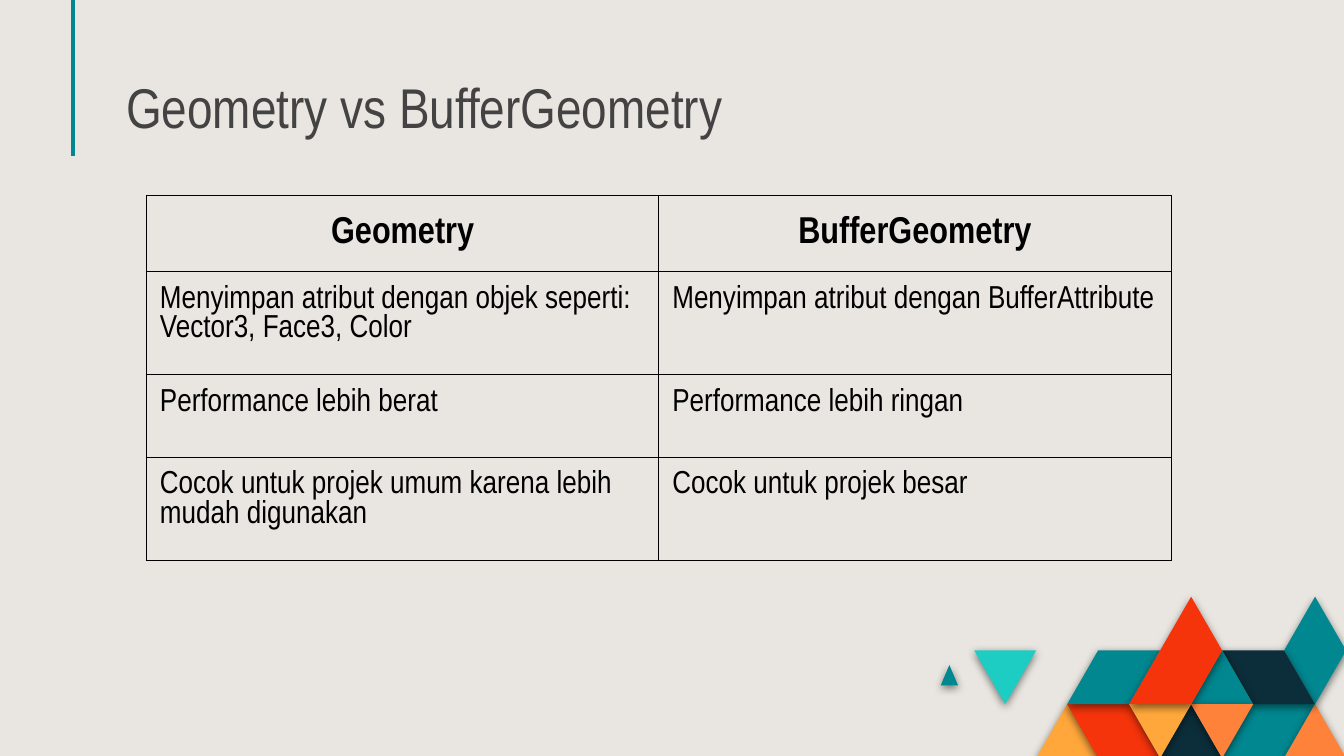
from lxml.etree import SubElement
from pptx import Presentation
from pptx.dml.color import RGBColor
from pptx.enum.shapes import MSO_CONNECTOR
from pptx.enum.text import MSO_ANCHOR, PP_ALIGN
from pptx.oxml import parse_xml
from pptx.oxml.ns import nsdecls, qn
from pptx.util import Pt

FONT = "Arial Narrow"
BACKGROUND = RGBColor(0xE9, 0xE6, 0xE1)
TITLE_GRAY = RGBColor(0x43, 0x43, 0x43)
BLACK = RGBColor(0x00, 0x00, 0x00)
TEAL = RGBColor(0x01, 0x87, 0x90)
TURQUOISE = RGBColor(0x1D, 0xCD, 0xC3)
NAVY = RGBColor(0x0C, 0x2E, 0x3A)
RED = RGBColor(0xF5, 0x34, 0x0B)
AMBER = RGBColor(0xFF, 0xA7, 0x3B)
ORANGE = RGBColor(0xFF, 0x82, 0x3B)

TITLE = "Geometry vs BufferGeometry"
ROWS = [
    ("Geometry", "BufferGeometry"),
    ("Menyimpan atribut dengan objek seperti: Vector3, Face3, Color",
     "Menyimpan atribut dengan BufferAttribute"),
    ("Performance lebih berat", "Performance lebih ringan"),
    ("Cocok untuk projek umum karena lebih mudah digunakan",
     "Cocok untuk projek besar"),
]
ROW_HEIGHTS = [40.7, 48.2, 44.2, 46.4]
COLUMN_WIDTH = 274.5
INSET = Pt(7.2)

GRID_LEFT, GRID_TOP = 555.1, 319.7
GRID_DX, GRID_DY = 16.6, 28.8
TILES = [
    (AMBER, [(0, 3), (1, 2), (2, 3)]),
    (RED, [(1, 2), (3, 2), (4, 3), (2, 3)]),
    (TEAL, [(6, 3), (7, 2), (9, 2), (8, 3)]),
    (ORANGE, [(8, 3), (9, 2), (10, 3)]),
    (NAVY, [(4, 3), (5, 2), (6, 3)]),
    (TEAL, [(1, 2), (2, 1), (4, 1), (3, 2)]),
    (TEAL, [(-3.08, 1.65), (-2.8, 1.27), (-2.52, 1.65)]),
    (TURQUOISE, [(-2, 1), (0, 1), (-1, 2)]),
    (TEAL, [(8, 1), (9, 0), (10, 1), (9, 2)]),
    (NAVY, [(6, 1), (8, 1), (9, 2), (7, 2)]),
    (TEAL, [(5, 2), (6, 1), (7, 2)]),
    (ORANGE, [(5, 2), (7, 2), (6, 3)]),
    (AMBER, [(3, 2), (5, 2), (4, 3)]),
    (RED, [(3, 2), (5, 0), (6, 1), (5, 2)]),
]


def format_text(tf, size, color, bold=False):
    for p in tf.paragraphs:
        for r in p.runs:
            r.font.name = FONT
            r.font.size = Pt(size)
            r.font.bold = bold
            r.font.color.rgb = color


def set_insets(target):
    target.margin_left = target.margin_right = INSET
    target.margin_top = target.margin_bottom = INSET


def add_accent_line(slide):
    line = slide.shapes.add_connector(
        MSO_CONNECTOR.STRAIGHT, Pt(39), Pt(0), Pt(39), Pt(83.5))
    line.line.color.rgb = TEAL
    line.line.width = Pt(2.25)
    SubElement(line._element.spPr, qn("a:effectLst"))


def add_tile(slide, color, corners):
    points = [(Pt(GRID_LEFT + x * GRID_DX), Pt(GRID_TOP + y * GRID_DY))
              for x, y in corners]
    builder = slide.shapes.build_freeform(*points[0])
    builder.add_line_segments(points[1:], close=True)
    sp = builder.convert_to_shape()
    sp.fill.solid()
    sp.fill.fore_color.rgb = color
    sp.line.fill.background()
    sp.shadow.inherit = False
    effects = sp._element.spPr.find(qn("a:effectLst"))
    effects.append(parse_xml(
        f'<a:outerShdw {nsdecls("a")} blurRad="{Pt(4.5)}" dist="{Pt(1.5)}" '
        'dir="5400000" algn="bl" rotWithShape="0"><a:srgbClr val="000000">'
        '<a:alpha val="50000"/></a:srgbClr></a:outerShdw>'))


def add_title(slide):
    box = slide.shapes.add_textbox(Pt(60.5), Pt(36.7), Pt(637.2), Pt(45.4))
    tf = box.text_frame
    tf.word_wrap = True
    tf.vertical_anchor = MSO_ANCHOR.BOTTOM
    set_insets(tf)
    tf.text = TITLE
    format_text(tf, 30, TITLE_GRAY)


def add_borders(cell):
    tcPr = cell._tc.get_or_add_tcPr()
    for i, side in enumerate(("lnL", "lnR", "lnT", "lnB")):
        tcPr.insert(i, parse_xml(
            f'<a:{side} {nsdecls("a")} w="{Pt(0.75)}"><a:solidFill>'
            f'<a:srgbClr val="{BLACK}"/></a:solidFill></a:{side}>'))


def add_comparison(slide):
    columns = len(ROWS[0])
    table = slide.shapes.add_table(
        len(ROWS), columns, Pt(78.5), Pt(104.8),
        Pt(COLUMN_WIDTH * columns), Pt(sum(ROW_HEIGHTS))).table
    table.first_row = table.horz_banding = False
    for column in table.columns:
        column.width = Pt(COLUMN_WIDTH)
    for i, (texts, height) in enumerate(zip(ROWS, ROW_HEIGHTS)):
        header = i == 0
        table.rows[i].height = Pt(height)
        for j, text in enumerate(texts):
            cell = table.cell(i, j)
            cell.fill.background()
            add_borders(cell)
            set_insets(cell)
            cell.vertical_anchor = MSO_ANCHOR.MIDDLE if header else MSO_ANCHOR.TOP
            tf = cell.text_frame
            tf.text = text
            tf.paragraphs[0].alignment = PP_ALIGN.CENTER if header else PP_ALIGN.LEFT
            format_text(tf, 20 if header else 17, BLACK, header)


def main():
    prs = Presentation()
    prs.slide_width, prs.slide_height = Pt(720), Pt(405)
    slide = prs.slides.add_slide(prs.slide_layouts[6])
    slide.background.fill.solid()
    slide.background.fill.fore_color.rgb = BACKGROUND
    add_accent_line(slide)
    for color, corners in TILES:
        add_tile(slide, color, corners)
    add_title(slide)
    add_comparison(slide)
    prs.save("out.pptx")


if __name__ == "__main__":
    main()
